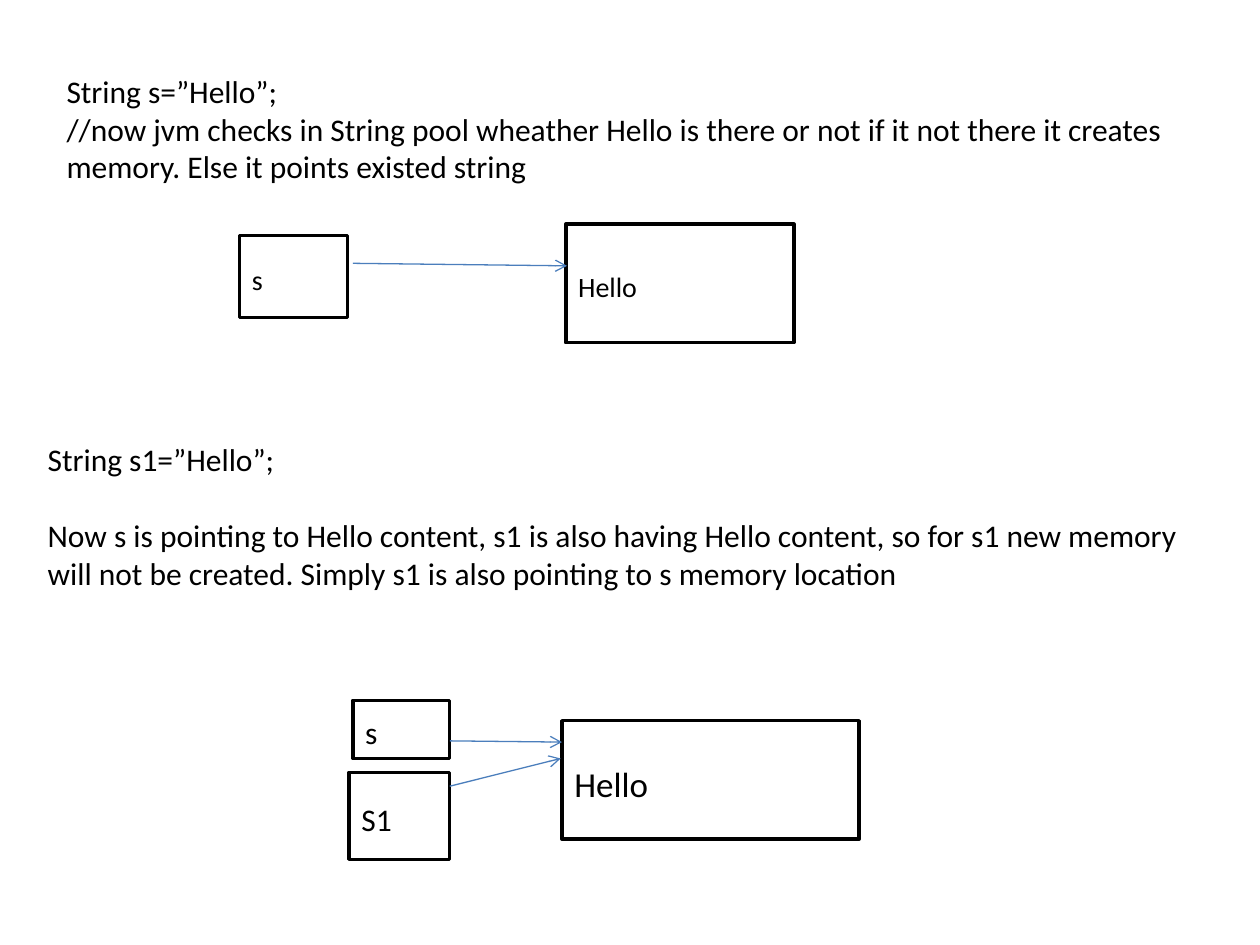
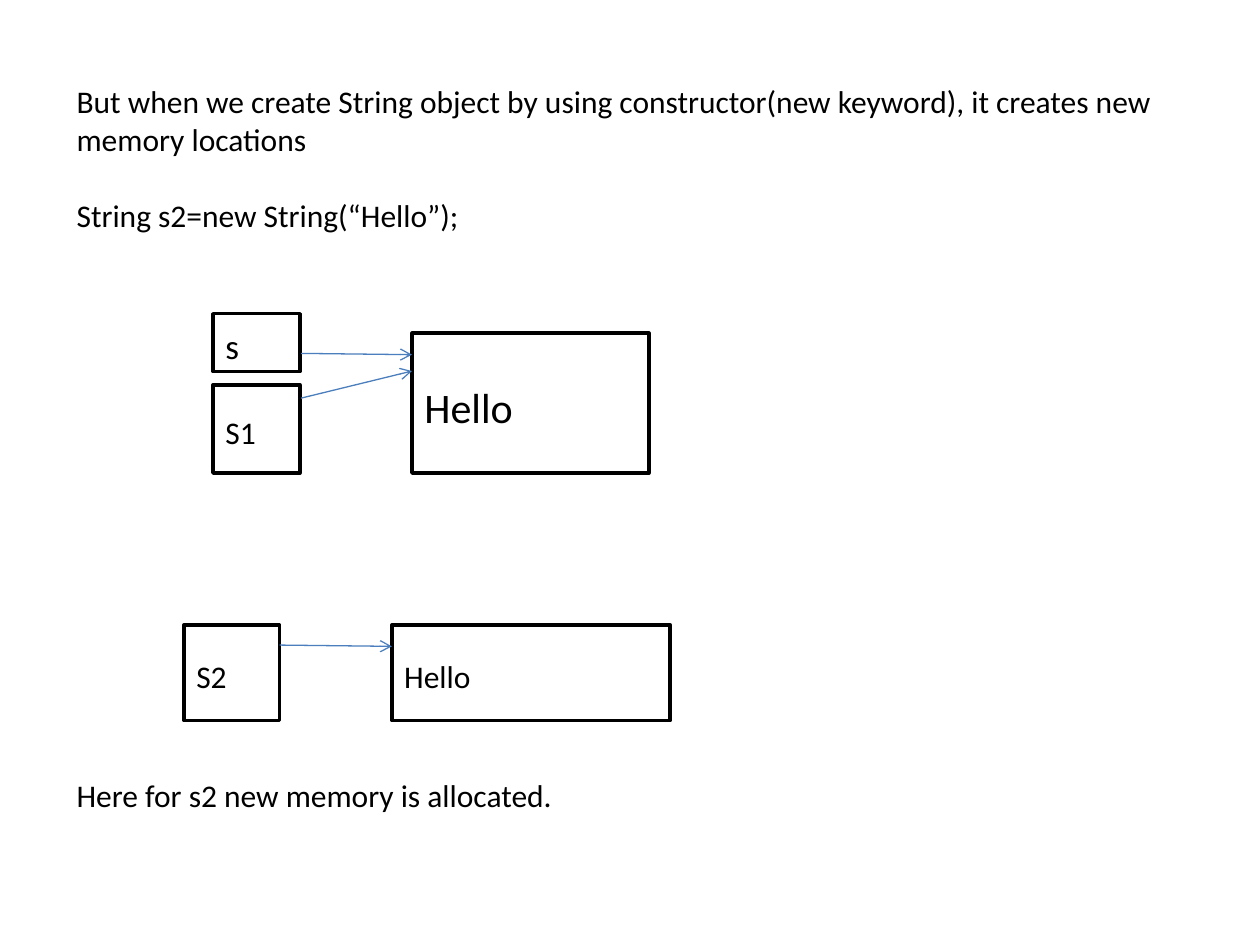
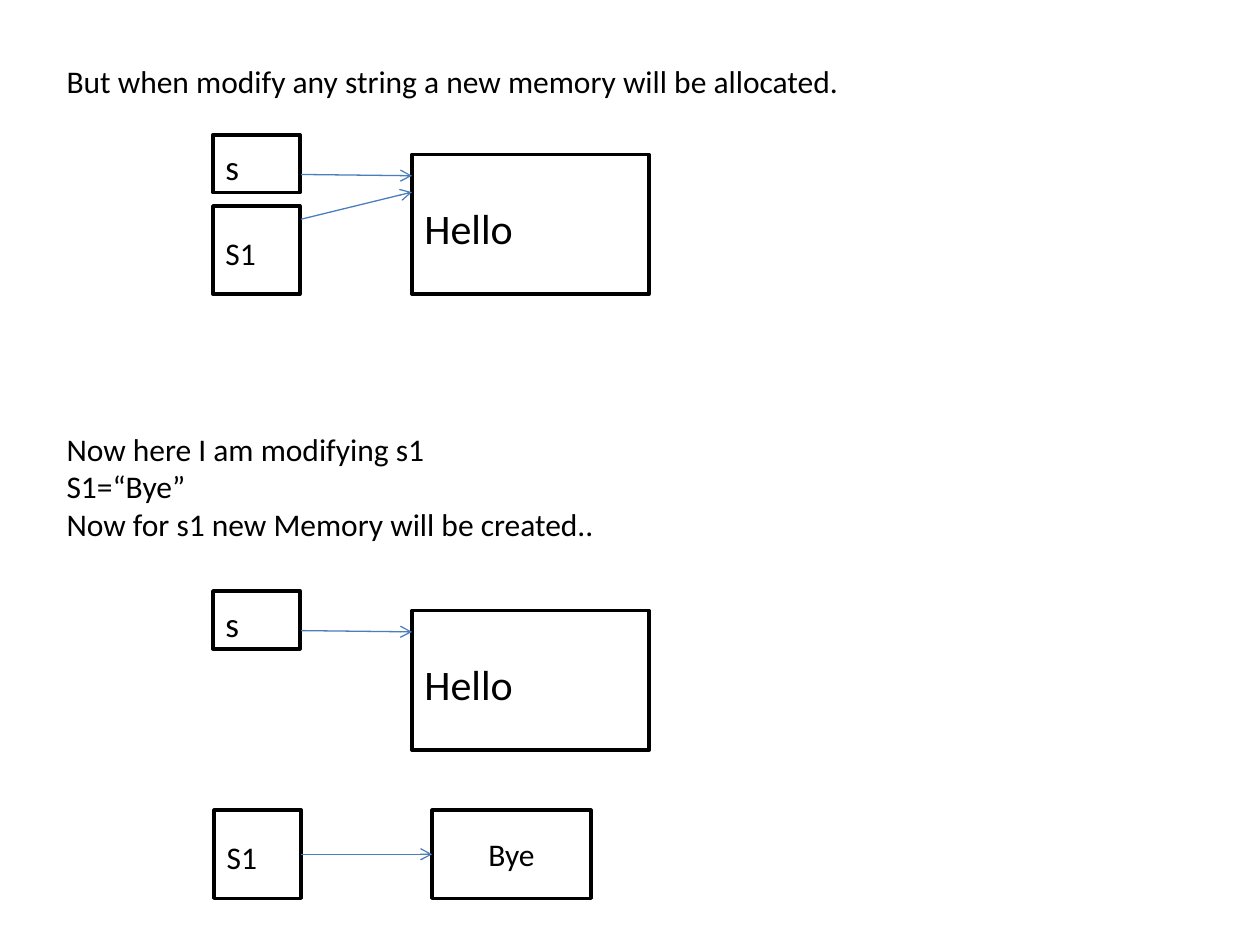
"""Build three slides on how a string pool shares memory."""
import pptx
import pptx.util
import pptx.dml.color
import pptx.enum.shapes
import pptx.enum.text
import pptx.oxml
import pptx.oxml.ns

INK = {"text": "000000", "box": "FFFFFF", "edge": "000000", "link": "4B7EBC"}
INK = {name: pptx.dml.color.RGBColor.from_string(code) for name, code in INK.items()}
FONT = "Calibri"

deck = pptx.Presentation()
deck.slide_width = pptx.util.Inches(10)
deck.slide_height = pptx.util.Inches(7.5)
COL = deck.slide_width / 100
ROW = deck.slide_height / 75


def write(page, at, *lines, size=18, boxed=False, mid=False, gap=0):
    """Write lines in a plain or boxed frame, with a gap before the last."""
    x, y, wide, high = at
    place = int(x * COL), int(y * ROW), int(wide * COL), int(high * ROW)
    if boxed:
        item = page.shapes.add_shape(pptx.enum.shapes.MSO_SHAPE.RECTANGLE, *place)
        item.shadow.inherit = False
        item.fill.solid()
        item.fill.fore_color.rgb = INK["box"]
        item.line.color.rgb = INK["edge"]
        item.line.width = pptx.util.Pt(2)
    else:
        item = page.shapes.add_textbox(*place)
    frame = item.text_frame
    frame.word_wrap = True
    if boxed:
        frame.vertical_anchor = pptx.enum.text.MSO_ANCHOR.MIDDLE
    align = pptx.enum.text.PP_ALIGN.CENTER if mid else pptx.enum.text.PP_ALIGN.LEFT
    for i, line in enumerate(lines):
        para = frame.paragraphs[0] if i == 0 else frame.add_paragraph()
        para.alignment = align
        if boxed and not mid:
            para.line_spacing = 1.15
            para.space_after = pptx.util.Pt(10)
        run = para.add_run()
        run.text = line
        run.font.size = pptx.util.Pt(size)
        run.font.name = FONT
        run.font.color.rgb = INK["text"]
    if gap:
        para.space_before = pptx.util.Pt(gap)


def link(page, x, y, endx, endy):
    """Draw an arrow between two points of the grid."""
    line = page.shapes.add_connector(
        pptx.enum.shapes.MSO_CONNECTOR.STRAIGHT,
        int(x * COL), int(y * ROW), int(endx * COL), int(endy * ROW))
    line.line.color.rgb = INK["link"]
    line.line.width = pptx.util.Pt(0.75)
    props = line.element.spPr
    tail = pptx.oxml.parse_xml(
        f'<a:tailEnd {pptx.oxml.ns.nsdecls("a")} type="arrow"/>')
    props.find(pptx.oxml.ns.qn("a:ln")).append(tail)
    props.append(pptx.oxml.parse_xml(f'<a:effectLst {pptx.oxml.ns.nsdecls("a")}/>'))


pool, fresh, change = [deck.slides.add_slide(deck.slide_layouts[6]) for _ in range(3)]

write(pool, (4.3, 5.2, 90.6, 10.1), "String s=”Hello”;",
      "//now jvm checks in String pool wheather Hello is there or not "
      "if it not there it creates memory. Else it points existed string")
write(pool, (2.8, 34.4, 92.1, 16.2), "String s1=”Hello”;",
      "Now s is pointing to Hello content, s1 is also having Hello content, "
      "so for s1 new memory will not be created. "
      "Simply s1 is also pointing to s memory location", gap=22)
write(fresh, (5.1, 6, 89, 22.2),
      "But when we create String object by using constructor(new keyword), "
      "it creates new memory locations",
      "String s2=new String(“Hello”);", gap=22)
write(fresh, (5.1, 61.1, 58.3, 7.1), "Here for s2 new memory is allocated.")
write(change, (4.3, 4.4, 90.6, 4), "But when modify any string a new memory will be allocated.")
write(change, (4.3, 33.6, 89, 16.2), "Now here I am modifying s1", "S1=“Bye”",
      "Now for s1 new Memory will be created..")

for page, top, both in (fresh, 24.9, True), (change, 10.7, True), (change, 46.9, False):
    write(page, (16.9, top, 6.9, 4.6), "s", size=20, boxed=True)
    write(page, (32.7, top + 1.55, 18.8, 11.1), "Hello", size=24, boxed=True)
    link(page, 23.9, top + 3.15, 32.7, top + 3.25)
    if both:
        write(page, (16.9, top + 5.65, 6.9, 7), "S1", boxed=True)
        link(page, 23.9, top + 6.7, 32.7, top + 4.55)

for page, at, text, size in (
        (pool, (19, 18.7, 8.6, 6.5), "s", 16),
        (pool, (44.9, 17.8, 18.1, 9.4), "Hello", 16),
        (pool, (28, 55.6, 7.7, 4.6), "s", 18),
        (pool, (27.7, 61.3, 8, 6.9), "S1", 18),
        (pool, (44.6, 57.2, 23.6, 9.4), "Hello", 20),
        (fresh, (14.6, 49.6, 7.6, 7.6), "S2", 18),
        (fresh, (31.1, 49.6, 22.1, 7.6), "Hello", 18),
        (change, (17, 64.3, 6.9, 7), "S1", 18),
        (change, (34.3, 64.3, 12.6, 7), "Bye", 18)):
    write(page, at, text, size=size, boxed=True, mid=text == "Bye")

for page, *ends in (
        (pool, 28, 20.9, 45, 21.1),
        (pool, 35.7, 58.8, 44.6, 58.9),
        (pool, 35.7, 62.4, 44.5, 60.2),
        (fresh, 22.2, 51.2, 31.1, 51.3),
        (change, 23.9, 67.8, 34.3, 67.8)):
    link(page, *ends)

deck.save("out.pptx")
